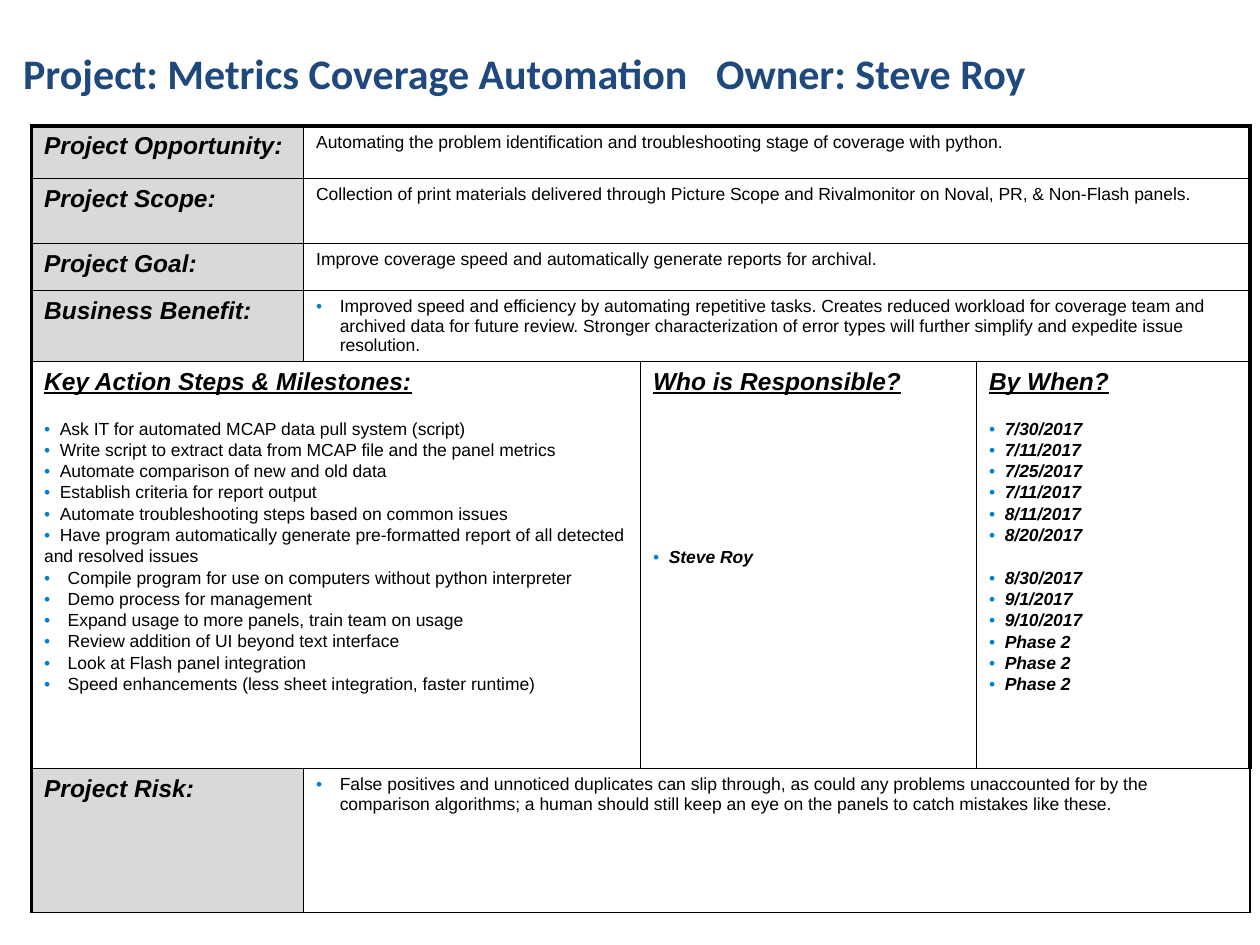
from dataclasses import dataclass
from typing import Optional

from lxml.etree import SubElement
from pptx import Presentation
from pptx.dml.color import RGBColor
from pptx.enum.text import MSO_ANCHOR, MSO_AUTO_SIZE, PP_ALIGN
from pptx.oxml.ns import qn
from pptx.util import Pt


@dataclass(frozen=True)
class Theme:
    title_font: str = "Calibri"
    body_font: str = "Arial"
    title: str = "1F497D"
    text: str = "000000"
    label_fill: str = "D9D9D9"
    bullet: str = "0082D1"
    title_size: float = 24
    head_size: float = 14
    body_size: float = 10
    thin: float = 1
    thick: float = 2.25
    line_pitch: float = 12.2


T = Theme()
NARROW, WIDE = 9, 13.5


@dataclass(frozen=True)
class Para:
    text: str
    size: float = T.body_size
    bold: bool = False
    italic: bool = False
    underline: bool = False
    indent: float = 0
    bullet: bool = False
    skip: int = 0


@dataclass(frozen=True)
class Block:
    row: int
    col: int
    span: int
    paras: list[Para]
    fill: Optional[str] = None


def add_text(p, text: str, *, font: str = T.body_font, size: float = T.body_size,
             color: str = T.text, bold: bool = False, italic: bool = False,
             underline: bool = False) -> None:
    r = p.add_run()
    r.text = text
    f = r.font
    f.name, f.size, f.bold, f.italic, f.underline = font, Pt(size), bold, italic, underline
    f.color.rgb = RGBColor.from_string(color)


def add_para(p, para: Para) -> None:
    p.space_after = Pt(para.size * 0.1 + para.skip * T.line_pitch)
    pPr = p._p.get_or_add_pPr()
    pPr.set("marL", str(Pt(para.indent)))
    pPr.set("indent", str(-Pt(para.indent)))
    if para.bullet:
        clr = SubElement(pPr, qn("a:buClr"))
        SubElement(clr, qn("a:srgbClr"), val=T.bullet)
        SubElement(pPr, qn("a:buFont"), typeface=T.body_font)
        SubElement(pPr, qn("a:buChar"), char="•")
    add_text(p, para.text, size=para.size, bold=para.bold, italic=para.italic,
             underline=para.underline)


def add_borders(cell, widths: dict[str, float]) -> None:
    tcPr = cell._tc.get_or_add_tcPr()
    for side in "LRTB":
        ln = SubElement(tcPr, qn(f"a:ln{side}"), w=str(Pt(widths[side])))
        fill = SubElement(ln, qn("a:solidFill"))
        SubElement(fill, qn("a:srgbClr"), val=T.text)


def draw_block(table, block: Block) -> None:
    row, end = block.row, block.col + block.span
    on_right = end == len(table.columns) and row < len(table.rows) - 1
    widths = {
        "L": T.thin if block.col else T.thick,
        "T": T.thin if row else T.thick,
        "R": T.thick if on_right else T.thin,
        "B": T.thin,
    }
    for col in range(block.col, end):
        cell = table.cell(row, col)
        add_borders(cell, widths)
        if block.fill:
            cell.fill.solid()
            cell.fill.fore_color.rgb = RGBColor.from_string(block.fill)
        else:
            cell.fill.background()
    cell = table.cell(row, block.col)
    if block.span > 1:
        cell.merge(table.cell(row, end - 1))
    cell.margin_left = cell.margin_right = Pt(7.2)
    cell.margin_top = cell.margin_bottom = Pt(3.6)
    tf = cell.text_frame
    for i, para in enumerate(block.paras):
        add_para(tf.add_paragraph() if i else tf.paragraphs[0], para)


def label(text: str) -> Para:
    return Para(text, T.head_size, bold=True, italic=True)


def heading(text: str, skip: int = 1) -> Para:
    return Para(text, T.head_size, True, True, True, NARROW, skip=skip)


def item(text: str, indent: float = NARROW, strong: bool = False, skip: int = 0) -> Para:
    return Para(text, bold=strong, italic=strong, indent=indent, bullet=True, skip=skip)


COLS = [155.5, 192.5, 192, 156.25]
ROWS = [30, 37.25, 26.75, 40.5, 232.5, 82.25]

FIELDS = [
    (0, "Project Opportunity:", Para(
        "Automating the problem identification and troubleshooting stage of coverage with python.")),
    (1, "Project Scope:", Para(
        "Collection of print materials delivered through Picture Scope and Rivalmonitor "
        "on Noval, PR, & Non-Flash panels.")),
    (2, "Project Goal:", Para(
        "Improve coverage speed and automatically generate reports for archival.")),
    (3, "Business Benefit:", item(
        "Improved speed and efficiency by automating repetitive tasks. Creates reduced workload "
        "for coverage team and archived data for future review. Stronger characterization of "
        "error types will further simplify and expedite issue resolution.", WIDE)),
    (5, "Project Risk:", item(
        "False positives and unnoticed duplicates can slip through, as could any problems "
        "unaccounted for by the comparison algorithms; a human should still keep an eye on "
        "the panels to catch mistakes like these.", WIDE)),
]
FIRST_STEPS = [
    "Ask IT for automated MCAP data pull system (script)",
    "Write script to extract data from MCAP file and the panel metrics",
    "Automate comparison of new and old data",
    "Establish criteria for report output",
    "Automate troubleshooting steps based on common issues",
    "Have program automatically generate pre-formatted report of all detected",
]
LATER_STEPS = [
    "Compile program for use on computers without python interpreter",
    "Demo process for management",
    "Expand usage to more panels, train team on usage",
    "Review addition of UI beyond text interface",
    "Look at Flash panel integration",
    "Speed enhancements (less sheet integration, faster runtime)",
]
DATES = ["7/30/2017", "7/11/2017", "7/25/2017", "7/11/2017", "8/11/2017", "8/20/2017",
         "8/30/2017", "9/1/2017", "9/10/2017", "Phase 2", "Phase 2", "Phase 2"]


def main() -> None:
    prs = Presentation()
    prs.slide_width, prs.slide_height = Pt(720), Pt(540)
    s = prs.slides.add_slide(prs.slide_layouts[5])

    title = s.shapes.title
    title.left, title.top, title.width, title.height = Pt(6), Pt(18), Pt(714), Pt(47.5)
    tf = title.text_frame
    tf.word_wrap, tf.auto_size = True, MSO_AUTO_SIZE.NONE
    tf.vertical_anchor = MSO_ANCHOR.MIDDLE
    p = tf.paragraphs[0]
    p.alignment = PP_ALIGN.LEFT
    add_text(p, "Project: Metrics Coverage Automation\tOwner: Steve Roy", font=T.title_font,
             size=T.title_size, color=T.title, bold=True)

    table = s.shapes.add_table(len(ROWS), len(COLS), Pt(18), Pt(72),
                               Pt(sum(COLS)), Pt(sum(ROWS))).table
    table.first_row = table.horz_banding = False
    for column, width in zip(table.columns, COLS):
        column.width = Pt(width)
    for row, height in zip(table.rows, ROWS):
        row.height = Pt(height)

    for row, name, para in FIELDS:
        draw_block(table, Block(row, 0, 1, [label(name)], T.label_fill))
        draw_block(table, Block(row, 1, 3, [para]))
    steps = [heading("Key Action Steps & Milestones:"), *map(item, FIRST_STEPS),
             Para("and resolved issues"), *(item(text, WIDE) for text in LATER_STEPS)]
    last_early = len(FIRST_STEPS) - 1
    dates = [item(text, strong=True, skip=int(i == last_early)) for i, text in enumerate(DATES)]
    draw_block(table, Block(4, 0, 2, steps))
    draw_block(table, Block(4, 2, 1, [heading("Who is Responsible?", 7),
                                      item("Steve Roy", strong=True)]))
    draw_block(table, Block(4, 3, 1, [heading("By When?"), *dates]))
    prs.save("out.pptx")


if __name__ == "__main__":
    main()
